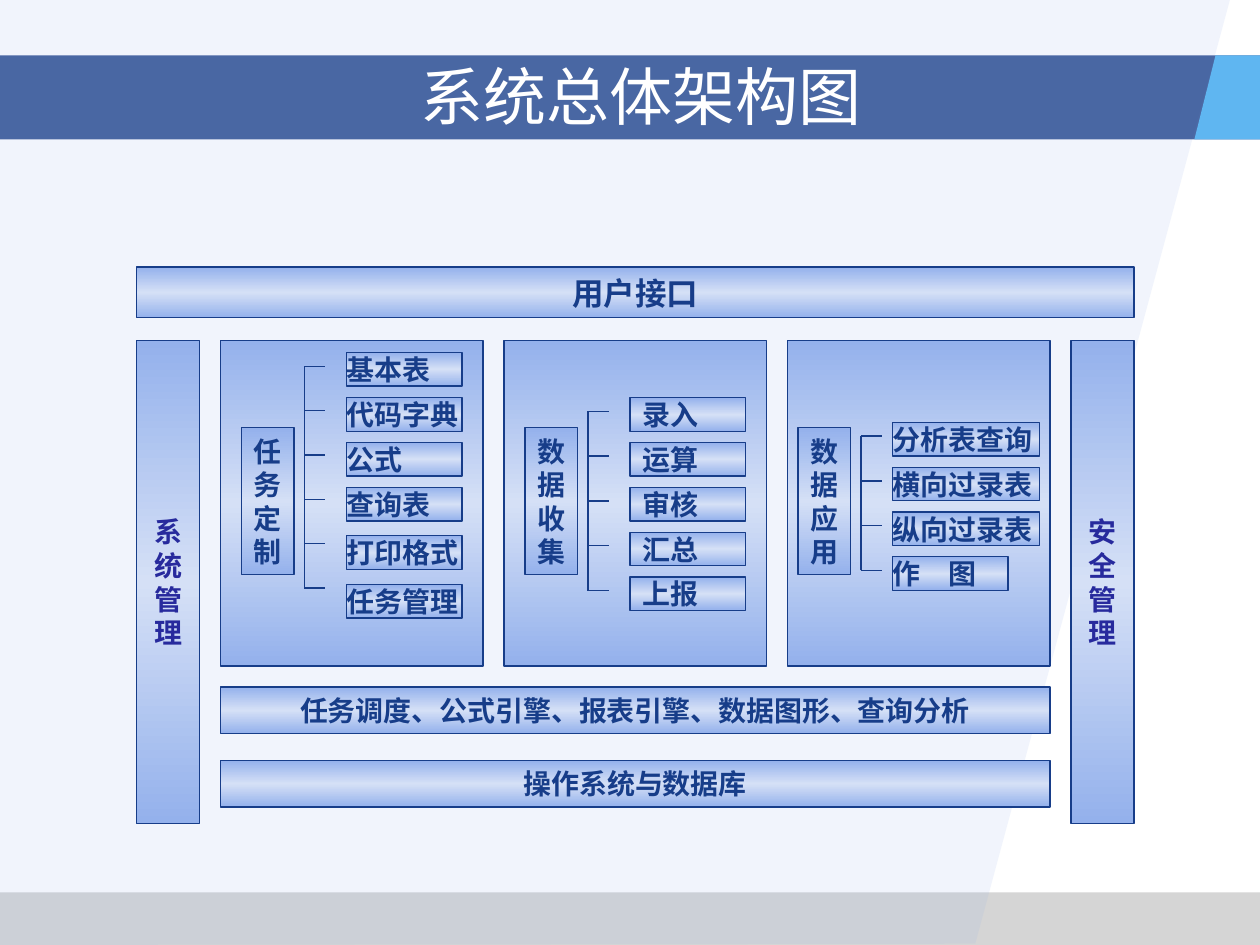
"""Build the system architecture slide."""
from copy import deepcopy

from pptx import Presentation
from pptx.dml.color import RGBColor
from pptx.enum import shapes, text
from pptx.oxml import ns, xmlchemy
from pptx.util import Pt

NAVY = RGBColor(0x17, 0x3D, 0x89)
BLUE = RGBColor(0x94, 0xB1, 0xEC)
PALE = RGBColor(0xD5, 0xE0, 0xF6)
SKY = RGBColor(0x5F, 0xB6, 0xF1)
VIOLET = RGBColor(0x27, 0x2A, 0x9D)
GREY = RGBColor(0x96, 0x96, 0x96)
WHITE = RGBColor(0xFF, 0xFF, 0xFF)

TITLE = "系统总体架构图"
BARS = [
    ("用户接口", (78, 152.6, 570, 29), 18),
    ("任务调度、公式引擎、报表引擎、数据图形、查询分析", (126, 392.6, 474, 26.6), 16),
    ("操作系统与数据库", (126, 434.6, 474, 26.6), 16),
]
SIDES = [("系统管理", 78), ("安全管理", 612)]
STEP = 25.6
PANELS = [
    dict(label="任务定制", inset=12, gap=60, indent=0,
         items=["基本表", "代码字典", "公式", "查询表", "打印格式", "任务管理"],
         tops=[201.5, 227.3, 252.9, 278.5, 306.2, 334], widths=[66] * 6,
         ticks=(209.3, 336)),
    dict(label="数据收集", inset=12, gap=60, indent=7,
         items=["录入", "运算", "审核", "汇总", "上报"],
         tops=[227.3 + STEP * i for i in range(5)], widths=[66] * 5,
         ticks=(235, 337.5)),
    dict(label="数据应用", inset=6, gap=54, indent=0,
         items=["分析表查询", "横向过录表", "纵向过录表", "作\u3000图"],
         tops=[241.4 + STEP * i for i in range(4)], widths=[84, 84, 84, 66],
         ticks=(249.2, 326)),
]


def paint(sp, color, alpha=100):
    sp.shadow.inherit = False
    sp.line.fill.background()
    sp.fill.solid()
    sp.fill.fore_color.rgb = color
    if alpha < 100:
        clr = sp._element.spPr.find(ns.qn("a:solidFill"))[0]
        xmlchemy.OxmlElement("a:alpha")
        node = xmlchemy.OxmlElement("a:alpha")
        node.set("val", str(alpha * 1000))
        clr.append(node)


def rect(parent, at):
    return parent.add_shape(shapes.MSO_SHAPE.RECTANGLE, *map(Pt, at))


def outline(parent, points):
    builder = parent.build_freeform(Pt(points[0][0]), Pt(points[0][1]))
    builder.add_line_segments([(Pt(x), Pt(y)) for x, y in points[1:]])
    return builder.convert_to_shape()


def write(sp, words, size, color, font, align, insets):
    tf = sp.text_frame
    tf.text = words
    tf.word_wrap = True
    tf.auto_size = text.MSO_AUTO_SIZE.NONE
    tf.vertical_anchor = text.MSO_ANCHOR.MIDDLE
    tf.margin_left, tf.margin_top, tf.margin_right, tf.margin_bottom = map(Pt, insets)
    p = tf.paragraphs[0]
    p.alignment = align
    r = p.runs[0]
    r.font.size, r.font.name = Pt(size), font
    r.font.color.rgb = color
    return r


def box(parent, at, words="", size=16, color=NAVY, align=text.PP_ALIGN.CENTER,
        insets=(7.2, 3.6, 7.2, 3.6), width=0.75):
    sp = rect(parent, at)
    sp.shadow.inherit = False
    sp.line.color.rgb = NAVY
    sp.line.width = Pt(width)
    sp.fill.gradient()
    sp.fill.gradient_angle = 270
    stops = sp._element.spPr.find(ns.qn("a:gradFill")).find(ns.qn("a:gsLst"))
    stops.insert(1, deepcopy(stops[0]))
    for stop, pos, rgb in zip(sp.fill.gradient_stops, (0, 0.5, 1), (BLUE, PALE, BLUE)):
        stop.position = pos
        stop.color.rgb = rgb
    if words:
        write(sp, words, size, color, "Arial", align, insets).font.bold = True


def line(parent, x1, y1, x2, y2):
    cx = parent.add_connector(shapes.MSO_CONNECTOR.STRAIGHT, *map(Pt, (x1, y1, x2, y2)))
    cx.line.color.rgb = NAVY
    cx.line.width = Pt(0.75)
    cx._element.spPr.append(xmlchemy.OxmlElement("a:effectLst"))


def panel(parent, left, label, inset, gap, indent, items, tops, widths, ticks):
    box(parent, (left, 194.6, 150, 186), width=1)
    x = left + inset
    box(parent, (x, 244.4, 30, 84), label, align=text.PP_ALIGN.LEFT)
    spine, (first, last) = x + 36, ticks
    line(parent, spine, first, spine, last)
    for i, (item, top, width) in enumerate(zip(items, tops, widths)):
        y = first + (last - first) * i / (len(items) - 1)
        line(parent, spine, y, spine + 12, y)
        box(parent, (x + gap, top, width, 19.2), item,
            align=text.PP_ALIGN.LEFT, insets=(indent, 0, 0, 0))


prs = Presentation()
prs.slide_width, prs.slide_height = Pt(720), Pt(540)
s = prs.slides.add_slide(prs.slide_layouts[5])

paint(rect(s.shapes, (0, 510, 720, 30)), GREY, 40)
paint(outline(s.shapes, [(0, 0), (702.8, 0), (557.3, 539.3), (0, 540), (0, 0)]), BLUE, 13)
paint(rect(s.shapes, (0, 31.7, 720, 48)), NAVY, 77)
paint(outline(s.shapes, [(694.6, 31.7), (682.5, 79.7), (720, 79.7), (720, 31.7),
                         (694.6, 31.7)]), SKY)

title = s.shapes.title
title.left, title.top, title.width, title.height = map(Pt, (42, 32.4, 648, 44.6))
write(title, TITLE, 36, WHITE, "Roboto", text.PP_ALIGN.CENTER, (7.2, 3.6, 7.2, 3.6))
s.shapes._spTree.append(title._element)

for words, at, size in BARS:
    box(s.shapes, at, words, size)
for i, content in enumerate(PANELS):
    panel(s.shapes.add_group_shape().shapes, 126 + 162 * i, **content)
for words, left in SIDES:
    box(s.shapes, (left, 194.6, 36, 276), words, color=VIOLET)

prs.save("out.pptx")
